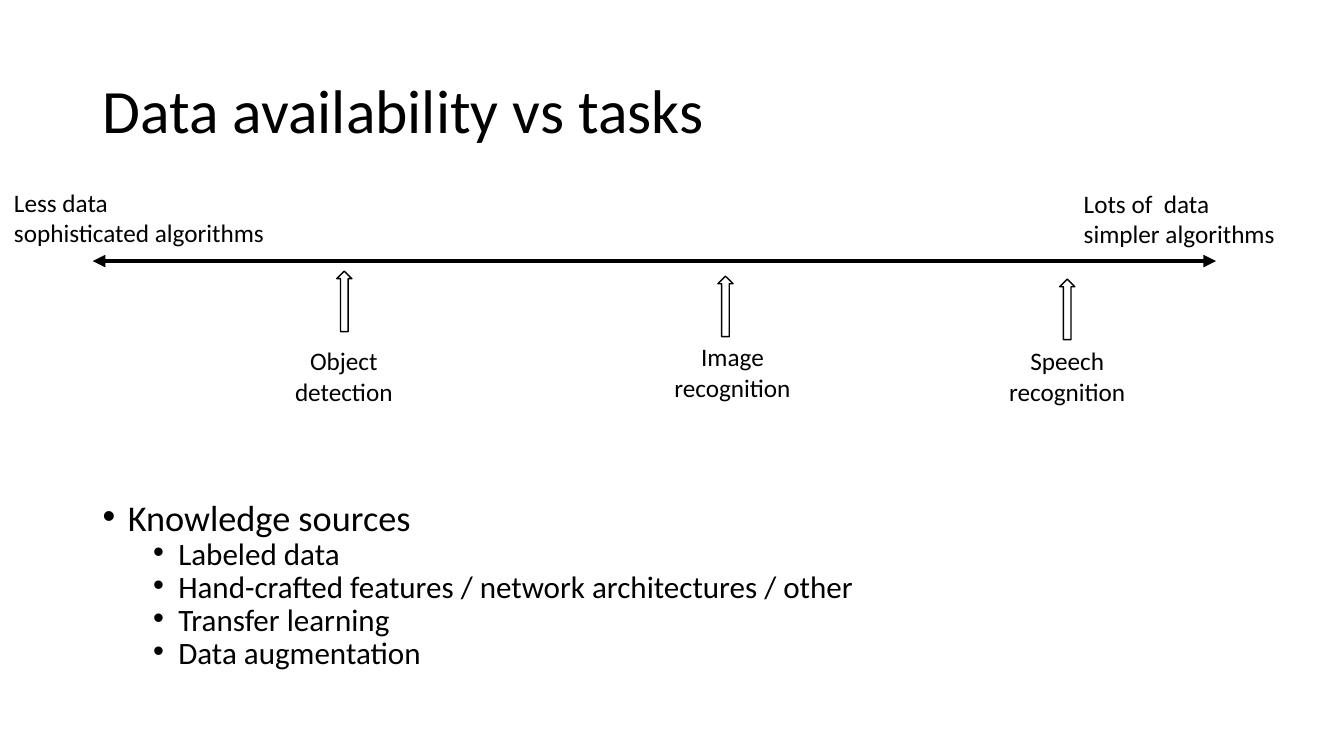
from dataclasses import dataclass

from lxml.etree import SubElement
from pptx import Presentation
from pptx.dml.color import RGBColor
from pptx.enum.shapes import MSO_CONNECTOR as CONNECTOR, MSO_SHAPE as SHAPE
from pptx.enum.text import MSO_ANCHOR as ANCHOR, MSO_AUTO_SIZE as AUTO, PP_ALIGN as ALIGN
from pptx.oxml.ns import qn
from pptx.util import Inches, Pt

BLACK, WHITE, FONT = "000000", "FFFFFF", "Calibri"


@dataclass
class Label:
    text: str
    left: float
    top: float
    width: float
    align: ALIGN = ALIGN.LEFT


@dataclass
class Task:
    label: Label
    arrow_left: float
    arrow_top: float


@dataclass
class Bullet:
    text: str
    size: float = 22.2
    indent: float = 0.75
    before: float = 5


AXIS_ENDS = [
    Label("Less data\nsophisticated algorithms", 0.04, 1.81, 2.71),
    Label("Lots of  data\nsimpler algorithms", 10.65, 1.82, 2.11),
]
TASKS = [
    Task(Label("Object\ndetection", 2.82, 3.38, 1.18, ALIGN.CENTER), 3.34, 2.69),
    Task(Label("Image\nrecognition", 6.58, 3.34, 1.37, ALIGN.CENTER), 7.12, 2.74),
    Task(Label("Speech\nrecognition", 9.9, 3.38, 1.37, ALIGN.CENTER), 10.51, 2.77),
]
BULLETS = [
    Bullet("Knowledge sources", 25.9, 0.25, 0),
    Bullet("Labeled data"),
    Bullet("Hand-crafted features / network architectures / other"),
    Bullet("Transfer learning"),
    Bullet("Data augmentation"),
]


def color(value: str) -> RGBColor:
    return RGBColor.from_string(value)


def write(p, text: str, *, size: float, align=ALIGN.LEFT, spacing=None, before=0):
    """Fill a paragraph; line feeds become line breaks."""
    p.text = text
    p.alignment = align
    p.line_spacing = spacing
    p.space_before = Pt(before)
    for r in p.runs:
        r.font.name = FONT
        r.font.size = Pt(size)
        r.font.color.rgb = color(BLACK)


def add_box(slide, left: float, top: float, width: float, height: float, wrap=True):
    tf = slide.shapes.add_textbox(
        Inches(left), Inches(top), Inches(width), Inches(height)).text_frame
    tf.word_wrap = wrap
    return tf


def add_label(slide, label: Label):
    tf = add_box(slide, label.left, label.top, label.width, 0.71, wrap=False)
    tf.auto_size = AUTO.SHAPE_TO_FIT_TEXT
    write(tf.paragraphs[0], label.text, size=18, align=label.align)


def add_bullet(p, item: Bullet):
    pPr = p._p.get_or_add_pPr()
    pPr.set("marL", str(Inches(item.indent)))
    pPr.set("indent", str(Inches(-0.25)))
    SubElement(pPr, qn("a:buFont"), typeface="Arial")
    SubElement(pPr, qn("a:buChar"), char="•")
    write(p, item.text, size=item.size, spacing=0.7, before=item.before)


def add_axis(slide, left: float, right: float, y: float):
    line = slide.shapes.add_connector(
        CONNECTOR.STRAIGHT, Inches(left), Inches(y), Inches(right), Inches(y))
    line.line.color.rgb = color(BLACK)
    line.line.width = Pt(3)
    for end in ("a:headEnd", "a:tailEnd"):
        SubElement(line.line._get_or_add_ln(), qn(end), type="triangle")
    SubElement(line._element.spPr, qn("a:effectLst"))


def add_up_arrow(slide, left: float, top: float):
    sp = slide.shapes.add_shape(
        SHAPE.UP_ARROW, Inches(left), Inches(top), Inches(0.15), Inches(0.6))
    sp.shadow.inherit = False
    sp.fill.solid()
    sp.fill.fore_color.rgb = color(WHITE)
    sp.line.color.rgb = color(BLACK)
    sp.line.width = Pt(1)


def main():
    prs = Presentation()
    prs.slide_width, prs.slide_height = Inches(13.33), Inches(7.5)
    slide = prs.slides.add_slide(prs.slide_layouts[6])

    # Title
    tf = add_box(slide, 0.92, 0.4, 11.5, 1.45)
    tf.vertical_anchor = ANCHOR.MIDDLE
    write(tf.paragraphs[0], "Data availability vs tasks", size=44, spacing=0.9)

    # Knowledge sources
    tf = add_box(slide, 0.92, 4.98, 11.5, 1.77)
    for i, item in enumerate(BULLETS):
        add_bullet(tf.add_paragraph() if i else tf.paragraphs[0], item)

    # Data axis with its two ends
    add_axis(slide, 0.92, 12.06, 2.59)
    for label in AXIS_ENDS:
        add_label(slide, label)

    # Tasks along the axis
    for task in TASKS:
        add_label(slide, task.label)
        add_up_arrow(slide, task.arrow_left, task.arrow_top)

    prs.save("out.pptx")


if __name__ == "__main__":
    main()
